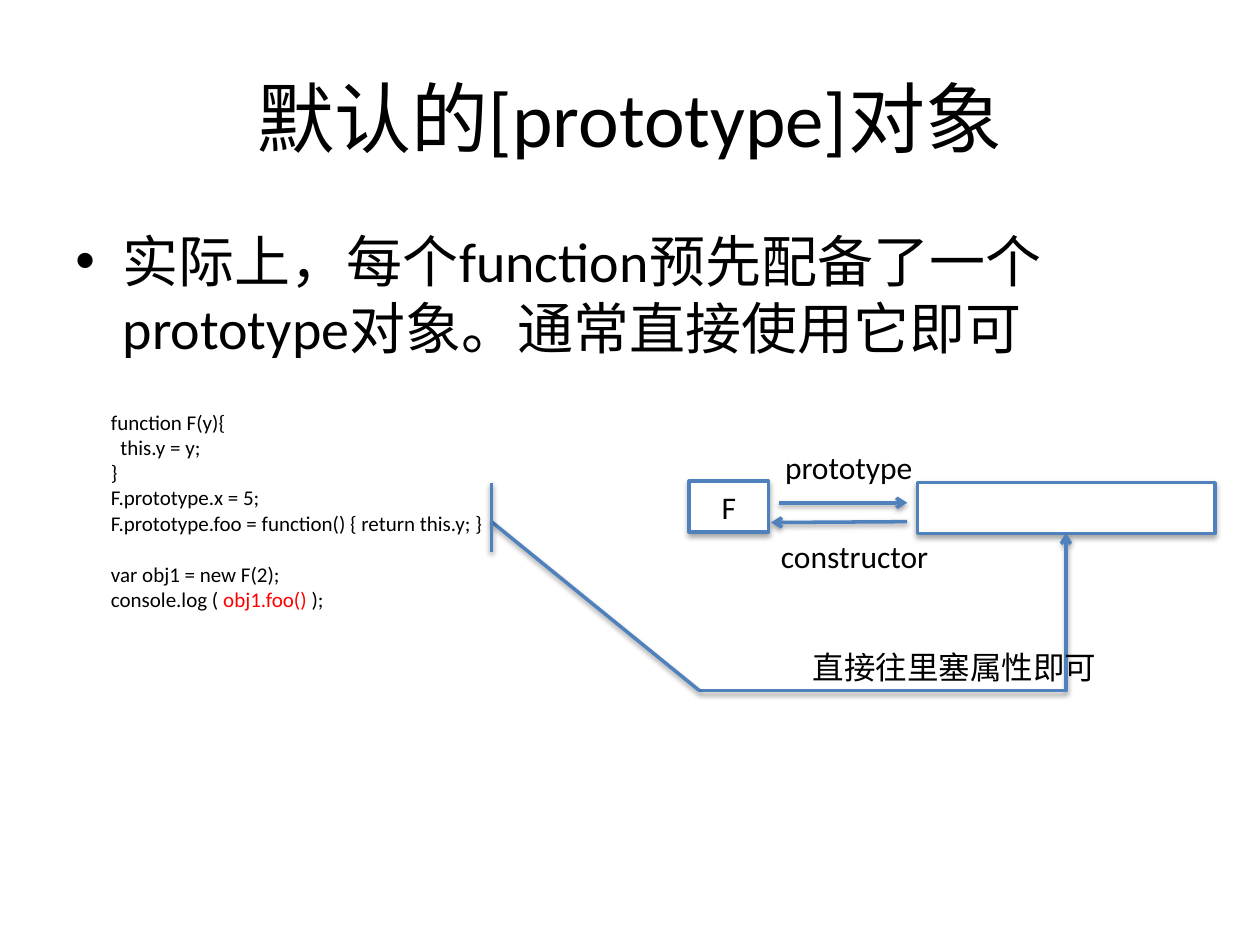
from lxml import etree
from pptx import Presentation, util as u
from pptx.dml.color import RGBColor
from pptx.enum import shapes, text
from pptx.oxml import ns

Pt = u.Pt

THEME = {
    "font": "Calibri", "bullet_font": "Arial",
    "ink": RGBColor.from_string("000000"),
    "accent": RGBColor.from_string("FF0000"),
    "line": RGBColor.from_string("4F81BD"),
    "paper": RGBColor.from_string("FFFFFF"),
    "title": 44, "body": 32, "label": 18, "code": 12, "code_line": 14.65,
    "line_width": 2,
}
CONNECTOR_SHADOW = (1.6, 38)  # distance, opacity
BOX_SHADOW = (1.8, 35)

# Content: all positions in points
TITLE = "默认的[prototype]对象"
BODY = "实际上，每个function预先配备了一个prototype对象。通常直接使用它即可"
CODE_BLOCKS = [
    ["function F(y){", "  this.y = y;", "}", "F.prototype.x = 5;",
     "F.prototype.foo = function() { return this.y; }"],
    ["var obj1 = new F(2);", ("console.log (", " obj1.foo() ", ");")],
]
HIGHLIGHT = " obj1.foo() "
LABELS = [  # text, frame, inset, wraps
    ("prototype", (445, 252.7, 108, 29), (3.6, 3.6), True),
    ("constructor", (439.2, 303.1, 100, 29), (7.2, 3.6), False),
    ("直接往里塞属性即可", (460.8, 366.5, 221, 29), (3.6, 3.6), True),
]
BOXES = [("F", (393.8, 275, 45.4, 29)), ("", (524.2, 275.8, 170, 29))]
BEND = (399.6, 394.6)
BRACE_X, BRACE_MIDDLE = 280.8, 298.1
CONNECTORS = [  # start, end, arrowhead, preset
    ((445, 287.3), (518.4, 287.3), True, "line"),
    ((518.4, 298.1), (440.6, 298.6), True, "line"),
    (BEND, (609.1, 304.6), True, "bentConnector2"),
    ((BRACE_X, BRACE_MIDDLE), BEND, False, "line"),
    ((BRACE_X, 275.8), (BRACE_X, 315.4), False, "line"),
]


def add_child(parent, tag, **attributes):
    child = etree.SubElement(parent, ns.qn(tag))
    for name, value in attributes.items():
        child.set(name, str(value))
    return child


def add_shadow(properties, distance, opacity):
    effects = properties.find(ns.qn("a:effectLst"))
    if effects is None:
        effects = add_child(properties, "a:effectLst")
    shadow = add_child(effects, "a:outerShdw", blurRad=Pt(3), dist=Pt(distance),
                       dir=90 * 60000, rotWithShape=0)
    color = add_child(shadow, "a:srgbClr", val=THEME["ink"])
    add_child(color, "a:alpha", val=opacity * 1000)


def style_line(line):
    line.color.rgb = THEME["line"]
    line.width = Pt(THEME["line_width"])


def style_font(font, size):
    font.name = THEME["font"]
    font.size = Pt(size)
    font.color.rgb = THEME["ink"]


def set_frame(frame, inset, wraps=True, anchor=text.MSO_ANCHOR.TOP):
    frame.margin_left = frame.margin_right = Pt(inset[0])
    frame.margin_top = frame.margin_bottom = Pt(inset[1])
    frame.word_wrap = wraps
    frame.vertical_anchor = anchor


def add_text(slide, words, place, size, inset=(7.2, 3.6), wraps=True,
             anchor=text.MSO_ANCHOR.TOP):
    shape = slide.shapes.add_textbox(*map(Pt, place))
    set_frame(shape.text_frame, inset, wraps, anchor)
    paragraph = shape.text_frame.paragraphs[0]
    paragraph.text = words
    style_font(paragraph.font, size)
    return paragraph


def add_body(slide):
    paragraph = add_text(slide, BODY, (36, 126, 648, 93), THEME["body"])
    properties = paragraph._p.get_or_add_pPr()
    properties.set("marL", str(Pt(27)))
    properties.set("indent", str(Pt(-27)))
    bullet = [etree.Element(ns.qn("a:buFont"), typeface=THEME["bullet_font"]),
              etree.Element(ns.qn("a:buChar"), char="•")]
    for position, element in enumerate(bullet):
        properties.insert(position, element)


def add_code(slide):
    shape = slide.shapes.add_textbox(*map(Pt, (59.8, 230.4, 323.3, 123.8)))
    frame = shape.text_frame
    set_frame(frame, (3.6, 3.6))
    paragraph = None
    for block in CODE_BLOCKS:
        for number, line in enumerate(block):
            first = paragraph is None
            paragraph = frame.paragraphs[0] if first else frame.add_paragraph()
            if number == 0 and not first:
                paragraph.space_before = Pt(THEME["code_line"])
            style_font(paragraph.font, THEME["code"])
            for part in (line,) if isinstance(line, str) else line:
                run = paragraph.add_run()
                run.text = part
                if part == HIGHLIGHT:
                    run.font.color.rgb = THEME["accent"]


def add_box(slide, words, place):
    shape = slide.shapes.add_shape(shapes.MSO_SHAPE.RECTANGLE, *map(Pt, place))
    shape.fill.solid()
    shape.fill.fore_color.rgb = THEME["paper"]
    style_line(shape.line)
    shape.shadow.inherit = False
    add_shadow(shape._element.spPr, *BOX_SHADOW)
    if words:
        set_frame(shape.text_frame, (3.6, 3.6), anchor=text.MSO_ANCHOR.MIDDLE)
        paragraph = shape.text_frame.paragraphs[0]
        paragraph.text = words
        paragraph.alignment = text.PP_ALIGN.CENTER
        style_font(paragraph.font, THEME["label"])


def add_connector(slide, start, end, arrow, preset):
    connector = slide.shapes.add_connector(
        shapes.MSO_CONNECTOR.STRAIGHT, *map(Pt, start + end))
    properties = connector._element.spPr
    properties.find(ns.qn("a:prstGeom")).set("prst", preset)
    style_line(connector.line)
    if arrow:
        add_child(connector.line._get_or_add_ln(), "a:tailEnd", type="arrow")
    add_shadow(properties, *CONNECTOR_SHADOW)


def main():
    presentation = Presentation()
    presentation.slide_width, presentation.slide_height = Pt(720), Pt(540)
    slide = presentation.slides.add_slide(presentation.slide_layouts[6])

    # Heading, bullet and code
    title = add_text(slide, TITLE, (36, 21.6, 648, 90), THEME["title"],
                     anchor=text.MSO_ANCHOR.MIDDLE)
    title.alignment = text.PP_ALIGN.CENTER
    add_body(slide)
    add_code(slide)

    # Diagram of the function and its prototype
    for words, place in BOXES:
        add_box(slide, words, place)
    for connector in CONNECTORS:
        add_connector(slide, *connector)
    for words, place, inset, wraps in LABELS:
        add_text(slide, words, place, THEME["label"], inset, wraps)

    presentation.save("out.pptx")


if __name__ == "__main__":
    main()
